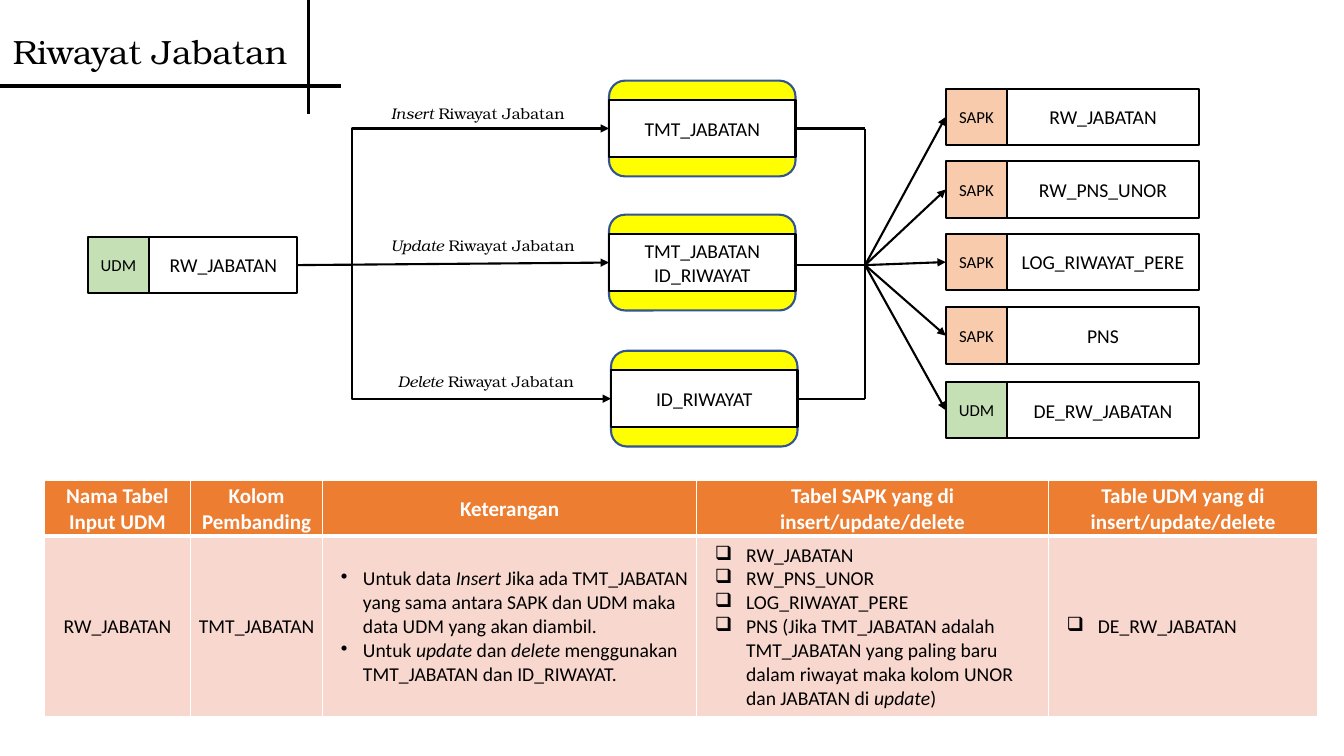
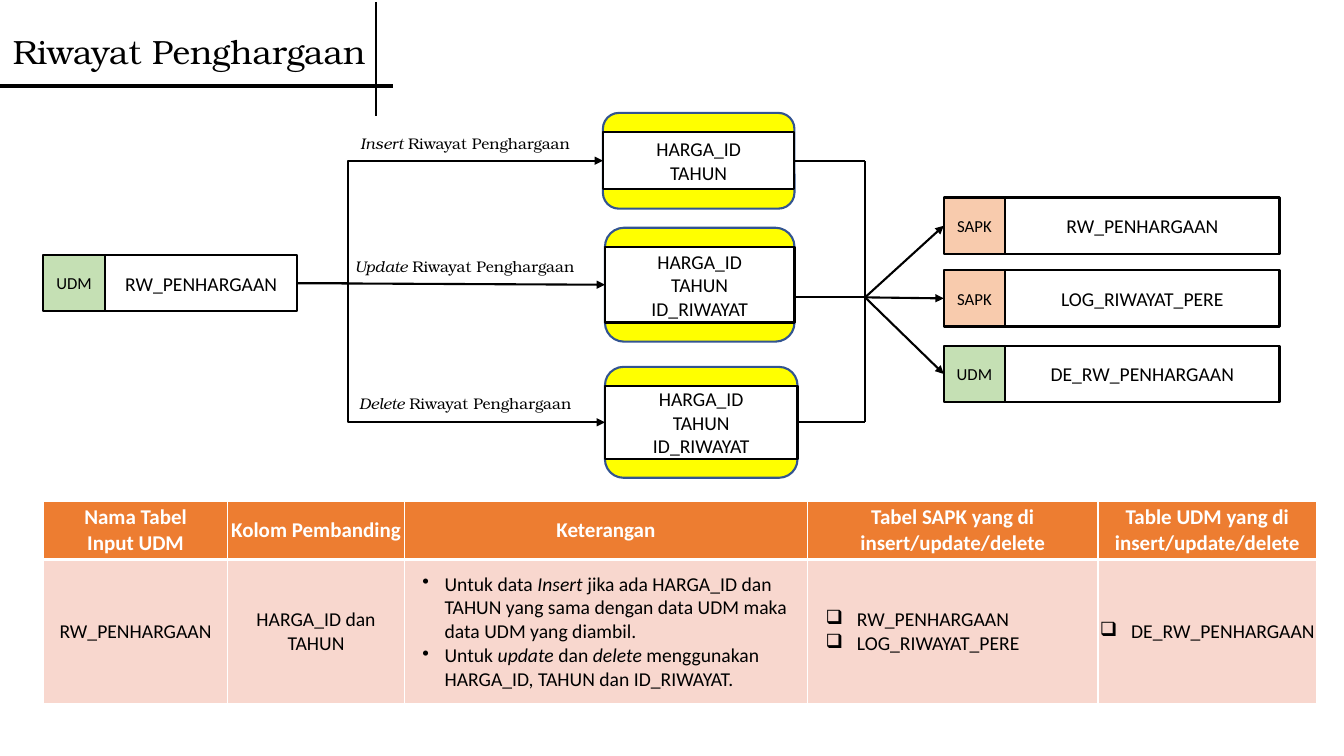
from itertools import pairwise
from lxml import etree
from pptx import Presentation
from pptx import util as u
from pptx.dml.color import RGBColor
from pptx.enum import shapes, text
from pptx.oxml.ns import qn

C = {
    "ink": "000000", "paper": "FFFFFF", "key": "FFFF00", "key_line": "325491",
    "SAPK": "F8CBAD", "UDM": "C5E0B4", "head": "ED7D31", "body": "F8D7CE",
}
SANS, SERIF = "Calibri", "TeX Gyre Bonum"
COLS, ROWS = 13.33, 7.5
TAG_W, BOX_H, INSET, TRUNK_X = 0.61, 0.56, 0.19, 8.58
MID, LEFT = text.PP_ALIGN.CENTER, text.PP_ALIGN.LEFT
DOT, CHECK, CHECK_MID = ("•", 0.39, 0.22, LEFT), ("❑", 0.48, 0.31, LEFT), ("❑", 0.31, 0.31, MID)
HEADINGS = (
    ["Nama Tabel", "Input UDM"], ["Kolom Pembanding"], ["Keterangan"],
    ["Tabel SAPK yang di insert/update/delete"],
    ["Table UDM yang di insert/update/delete"],
)


def rgb(name):
    return RGBColor.from_string(C[name])


class Deck:
    def __init__(self):
        self.prs = Presentation()
        self.prs.slide_width, self.prs.slide_height = u.Inches(13.33), u.Inches(7.5)

    def x(self, cols):
        return round(self.prs.slide_width * cols / COLS)

    def y(self, rows):
        return round(self.prs.slide_height * rows / ROWS)

    def place(self, at):
        left, top, width, height = at
        return self.x(left), self.y(top), self.x(width), self.y(height)

    def new(self):
        self.s = self.prs.slides.add_slide(self.prs.slide_layouts[6])

    def fill_text(self, tf, lines, size, font=SANS, color="ink", align=MID, bold=False, bullet=None):
        for i, line in enumerate(lines):
            p = tf.paragraphs[0] if i == 0 else tf.add_paragraph()
            p.alignment = align
            if bullet:
                self.bullet(p, bullet)
            for j, part in enumerate(line.split("*")):
                if part:
                    r = p.add_run()
                    r.text = part
                    r.font.name, r.font.size = font, u.Pt(size)
                    r.font.color.rgb = rgb(color)
                    r.font.bold, r.font.italic = bold, j % 2 == 1

    def bullet(self, p, style):
        char, margin, hang, p.alignment = style
        pPr = p._p.get_or_add_pPr()
        pPr.set("marL", str(self.x(margin)))
        pPr.set("indent", str(-self.x(hang)))
        etree.SubElement(pPr, qn("a:buChar")).set("char", char)

    def box(self, at, lines=(), fill="paper", line="ink", size=14, rounded=False):
        kind = shapes.MSO_SHAPE.ROUNDED_RECTANGLE if rounded else shapes.MSO_SHAPE.RECTANGLE
        sp = self.s.shapes.add_shape(kind, *self.place(at))
        sp.shadow.inherit = False
        sp.fill.solid()
        sp.fill.fore_color.rgb = rgb(fill)
        sp.line.color.rgb, sp.line.width = rgb(line), u.Pt(1.5)
        tf = sp.text_frame
        tf.vertical_anchor = text.MSO_ANCHOR.MIDDLE
        self.fill_text(tf, lines, size)

    def tagged(self, tag, name, x, y, w):
        self.box((x + TAG_W, y, w, BOX_H), [name])
        self.box((x, y, TAG_W, BOX_H), [tag], fill=tag, size=12)

    def label(self, at, line, size, align=MID):
        sp = self.s.shapes.add_textbox(*self.place(at))
        tf = sp.text_frame
        tf.word_wrap = False
        tf.auto_size = text.MSO_AUTO_SIZE.SHAPE_TO_FIT_TEXT
        self.fill_text(tf, [line], size, SERIF, align=align)

    def line(self, start, end, arrow=False, bend=None, width=1.5):
        (x0, y0), (x1, y1) = start, end
        kind = shapes.MSO_CONNECTOR.ELBOW if bend else shapes.MSO_CONNECTOR.STRAIGHT
        c = self.s.shapes.add_connector(kind, self.x(x0), self.y(y0), self.x(x1), self.y(y1))
        c.line.color.rgb, c.line.width = rgb("ink"), u.Pt(width)
        spPr = c._element.spPr
        if bend:
            gd = etree.SubElement(spPr.find(qn("a:prstGeom")).find(qn("a:avLst")), qn("a:gd"))
            gd.set("name", "adj1")
            gd.set("fmla", f"val {round((bend - x0) / (x1 - x0) * 100000)}")
        if arrow:
            etree.SubElement(spPr.find(qn("a:ln")), qn("a:tailEnd")).set("type", "triangle")
        etree.SubElement(spPr, qn("a:effectLst"))

    def title(self, name, width, rule, post, top):
        self.label((0.03, 0.26, width, 0.5), name, 24, LEFT)
        self.line((0, 0.85), (rule, 0.85), width=3)
        self.line((post, top), (post, top + 1.13))

    def cell(self, cell, lines, fill, edges, **style):
        tcPr = cell._tc.get_or_add_tcPr()
        for side, width in zip("LRTB", edges):
            ln = etree.SubElement(tcPr, qn(f"a:ln{side}"), w=str(u.Pt(width)))
            paint = etree.SubElement(ln, qn("a:solidFill"))
            etree.SubElement(paint, qn("a:srgbClr")).set("val", C["paper"])
        cell.fill.solid()
        cell.fill.fore_color.rgb = rgb(fill)
        cell.vertical_anchor = text.MSO_ANCHOR.MIDDLE
        cell.margin_left = cell.margin_right = cell.margin_top = u.Inches(0.01)
        cell.margin_bottom = 0
        self.fill_text(cell.text_frame, lines, **style)

    def table(self, left, top, cols, rows, body, bullets):
        at = self.place((left, top, sum(cols), sum(rows)))
        t = self.s.shapes.add_table(2, len(cols), *at).table
        t.first_row = t.horz_banding = False
        for row, h in zip(t.rows, rows):
            row.height = self.y(h)
        for i, w in enumerate(cols):
            t.columns[i].width = self.x(w)
            self.cell(t.cell(0, i), HEADINGS[i], "head", (1, 1, 1, 3),
                      size=15, color="paper", bold=True)
            self.cell(t.cell(1, i), body[i], "body", (1, 1, 3, 1), size=14, bullet=bullets[i])

    def flow(self, source, bend, steps, hub, target_x, target_w, targets):
        name, x, y, w = source
        start = (x + TAG_W + w, y + BOX_H / 2)
        self.tagged("UDM", name, x, y, w)
        exits = []
        for i, (at, keys, action, label_at) in enumerate(steps):
            left, top, width, height = at
            inner = (left, top + INSET, width, height - 2 * INSET)
            middle = top + height / 2
            self.box(at, fill="key", line="key_line", rounded=True)
            self.box(inner, keys)
            self.label((*label_at, 0.29), action, 11)
            self.line(start, (left, middle), True, None if i == 1 else bend)
            exits.append(hub if i == 1 else middle)
            self.line((left + width, exits[-1]), (TRUNK_X, exits[-1]))
        for upper, lower in pairwise(exits):
            self.line((TRUNK_X, upper), (TRUNK_X, lower))
        for tag, target, y in targets:
            self.tagged(tag, target, target_x, y, target_w)
            self.line((TRUNK_X, hub), (target_x, y + BOX_H / 2), True)


d = Deck()

d.new()
d.flow(
    ("RW_JABATAN", 0.87, 2.35, 1.47), 3.49,
    [((6.04, 0.8, 1.85, 0.95), ["TMT_JABATAN"],
      "*Insert *Riwayat Jabatan", (3.76, 0.98, 1.96)),
     ((6.04, 2.13, 1.85, 0.95), ["TMT_JABATAN", "ID_RIWAYAT"],
      "*Update *Riwayat Jabatan", (3.76, 2.29, 2.06)),
     ((6.06, 3.48, 1.85, 0.95), ["ID_RIWAYAT"],
      "*Delete *Riwayat Jabatan", (3.83, 3.64, 1.98))],
    2.63, 9.38, 1.9,
    [("SAPK", "RW_JABATAN", 0.88), ("SAPK", "RW_PNS_UNOR", 1.6),
     ("SAPK", "LOG_RIWAYAT_PERE", 2.32), ("SAPK", "PNS", 3.05),
     ("UDM", "DE_RW_JABATAN", 3.79)],
)
d.table(
    0.44, 4.77, (1.45, 1.31, 3.71, 3.49, 2.67), (0.55, 1.79),
    (["RW_JABATAN"], ["TMT_JABATAN"],
     ["Untuk data *Insert *Jika ada TMT_JABATAN yang sama antara SAPK dan UDM "
      "maka data UDM yang akan diambil.",
      "Untuk *update* dan *delete *menggunakan TMT_JABATAN dan ID_RIWAYAT."],
     ["RW_JABATAN", "RW_PNS_UNOR", "LOG_RIWAYAT_PERE",
      "PNS (Jika TMT_JABATAN adalah TMT_JABATAN yang paling baru dalam riwayat "
      "maka kolom UNOR dan JABATAN di *update*)"],
     ["DE_RW_JABATAN"]),
    (None, None, DOT, CHECK, CHECK),
)
d.title("Riwayat Jabatan", 2.96, 3.38, 3.06, 0)

d.new()
d.flow(
    ("RW_PENHARGAAN", 0.43, 2.53, 1.91), 3.45,
    [((5.98, 1.12, 1.9, 0.95), ["HARGA_ID", "TAHUN"],
      "*Insert *Riwayat Penghargaan", (3.46, 1.28, 2.31)),
     ((6, 2.26, 1.88, 1.13), ["HARGA_ID", "TAHUN", "ID_RIWAYAT"],
      "*Update *Riwayat Penghargaan", (3.4, 2.5, 2.42)),
     ((6, 3.64, 1.91, 1.1), ["HARGA_ID", "TAHUN", "ID_RIWAYAT"],
      "*Delete *Riwayat Penghargaan", (3.44, 3.86, 2.35))],
    2.95, 9.36, 2.72,
    [("SAPK", "RW_PENHARGAAN", 1.96), ("SAPK", "LOG_RIWAYAT_PERE", 2.68),
     ("UDM", "DE_RW_PENHARGAAN", 3.43)],
)
d.table(
    0.43, 4.97, (1.83, 1.75, 4, 2.88, 2.17), (0.58, 1.43),
    (["RW_PENHARGAAN"], ["HARGA_ID dan", "TAHUN"],
     ["Untuk data *Insert *jika ada HARGA_ID dan TAHUN yang sama dengan data UDM "
      "maka data UDM yang diambil.",
      "Untuk *update* dan *delete *menggunakan HARGA_ID, TAHUN dan ID_RIWAYAT."],
     ["RW_PENHARGAAN", "LOG_RIWAYAT_PERE"], ["DE_RW_PENHARGAAN"]),
    (None, None, DOT, CHECK, CHECK_MID),
)
d.title("Riwayat Penghargaan", 3.76, 3.9, 3.73, 0.02)

d.prs.save("out.pptx")
